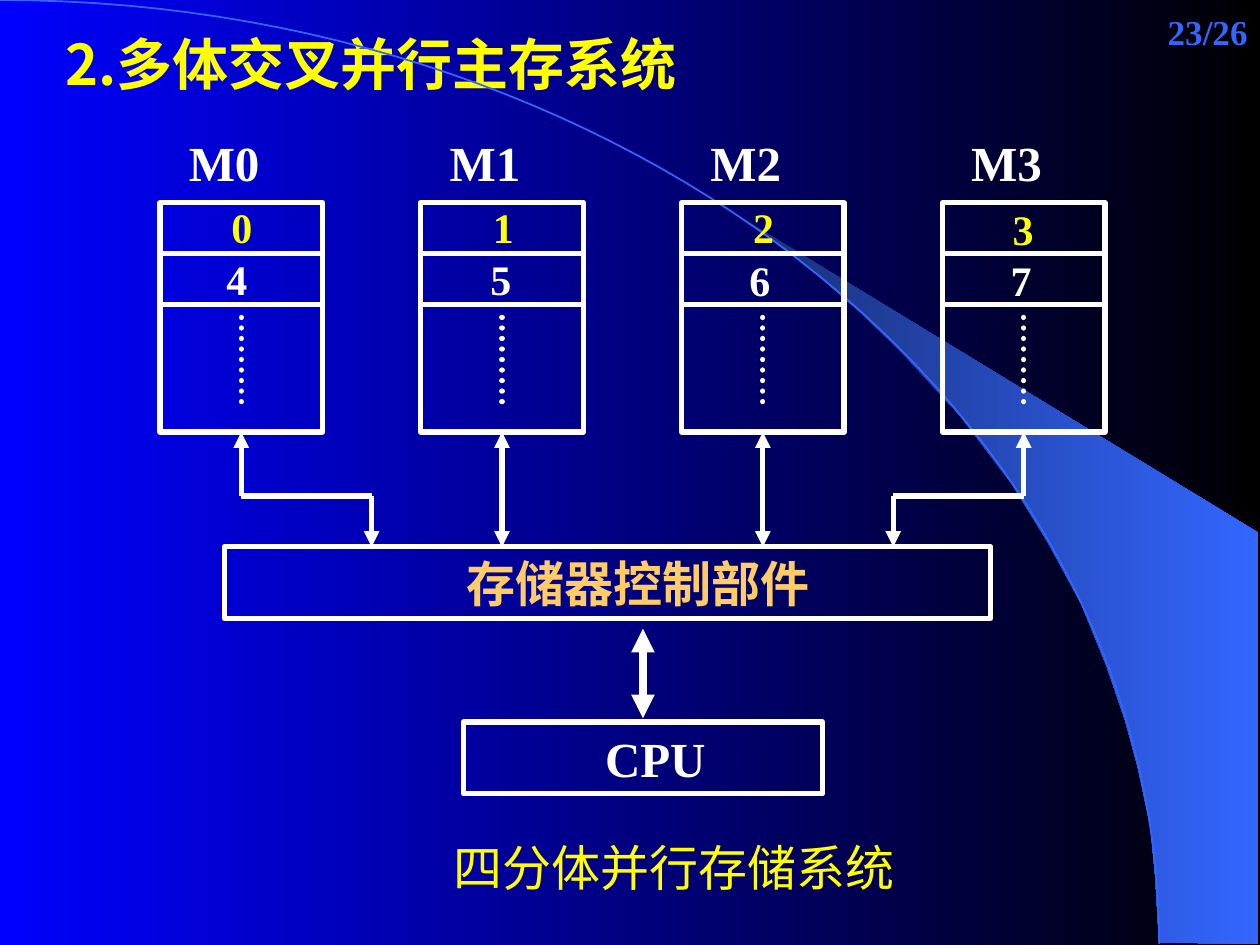
from lxml import etree
from pptx import Presentation
from pptx.dml.color import RGBColor
from pptx.enum.shapes import MSO_CONNECTOR, MSO_SHAPE
from pptx.enum.text import MSO_ANCHOR, MSO_AUTO_SIZE, PP_ALIGN
from pptx.oxml.ns import qn
from pptx.util import Pt

RECT = MSO_SHAPE.RECTANGLE
STRAIGHT = MSO_CONNECTOR.STRAIGHT
TOP, MIDDLE = MSO_ANCHOR.TOP, MSO_ANCHOR.MIDDLE
LEFT, CENTER, RIGHT = PP_ALIGN.LEFT, PP_ALIGN.CENTER, PP_ALIGN.RIGHT
NO_FIT = MSO_AUTO_SIZE.NONE

SERIF, SANS, CJK = "Times New Roman", "Arial", "Noto Sans CJK SC"
COLORS = {
    "blue": "0000FF", "black": "000000", "navy": "182F76", "azure": "3366FF",
    "white": "FFFFFF", "yellow": "FFFF00", "orange": "FFCC66",
}

MODULE_X, MODULE_Y, MODULE_W, MODULE_H = 91.4, 115.9, 92.9, 131
PITCH = 149.04
ROW_LINES = (144.9, 174.2)
BOTTOM, BEND, CONTROL_Y = MODULE_Y + MODULE_H, 283.4, 312.5
CELLS = [
    [(105.1, 111.6, 66.2), (257, 111.6, 61.2), (405.4, 111.6, 61.9), (562.3, 113, 44.6)],
    [(102.2, 141.1, 66.2), (255.6, 141.1, 61.2), (401.8, 141.8, 64.8), (555.1, 141.8, 56.9)],
]
WEDGE = [
    (662.4, 538.6), (719.3, 539.3), (719.3, 304.6), (424.1, 124.6), (449.3, 143.3),
    (470.2, 159.8), (493.2, 180), (515.5, 201.6), (548.6, 237.6), (578.2, 276.5),
    (599, 310.3), (617.8, 344.9), (632.2, 380.2), (643, 411.8), (650.2, 438.5),
    (657.4, 472.3), (660.2, 501.1),
]
ARC = [(0, 0), (365.8, 0), (662.4, 241.2), (662.4, 539.3)]
ARC_STEPS = 60


def rgb(name):
    return RGBColor.from_string(COLORS[name])


def set_gradient(fill, start, end):
    fill.gradient()
    fill.gradient_angle = 0
    for stop, name in zip(fill.gradient_stops, (start, end)):
        stop.color.rgb = rgb(name)


def write(s, text, size=28, color="white", font=SERIF, bold=True, align=LEFT,
          anchor=TOP, wrap=True, indent=0):
    tf = s.text_frame
    tf.auto_size = NO_FIT
    tf.word_wrap = wrap
    tf.vertical_anchor = anchor
    tf.margin_left, tf.margin_right = Pt(7.2 + indent), Pt(7.2)
    tf.margin_top = tf.margin_bottom = Pt(3.6)
    p = tf.paragraphs[0]
    p.alignment = align
    r = p.add_run()
    r.text = text
    r.font.size, r.font.bold, r.font.name = Pt(size), bold, font
    r.font.color.rgb = rgb(color)
    etree.SubElement(r.font._element, qn("a:ea")).set("typeface", CJK)


def add_text(s, box, text, **fmt):
    write(s.shapes.add_textbox(*map(Pt, box)), text, **fmt)


def add_box(s, box):
    sp = s.shapes.add_shape(RECT, *map(Pt, box))
    sp.shadow.inherit = False
    sp.fill.background()
    sp.line.color.rgb = rgb("white")
    sp.line.width = Pt(3)
    return sp


def add_line(s, x1, y1, x2, y2, width=3, head=False, tail=False, dotted=False):
    c = s.shapes.add_connector(STRAIGHT, Pt(x1), Pt(y1), Pt(x2), Pt(y2))
    c.line.color.rgb = rgb("white")
    c.line.width = Pt(width)
    ln = c.line._get_or_add_ln()
    if dotted:
        ln.set("cap", "rnd")
        etree.SubElement(ln, qn("a:prstDash")).set("val", "sysDot")
    for shown, tag in ((head, "a:headEnd"), (tail, "a:tailEnd")):
        if shown:
            etree.SubElement(ln, qn(tag)).set("type", "triangle")
    etree.SubElement(c._element.spPr, qn("a:effectLst"))
    return c


def add_freeform(s, points, close):
    pts = [(Pt(x), Pt(y)) for x, y in points]
    builder = s.shapes.build_freeform(*pts[0])
    builder.add_line_segments(pts[1:], close=close)
    sp = builder.convert_to_shape()
    sp.shadow.inherit = False
    return sp


def bezier(t):
    weights = ((1 - t) ** 3, 3 * t * (1 - t) ** 2, 3 * t * t * (1 - t), t ** 3)
    return tuple(sum(w * pt[axis] for w, pt in zip(weights, ARC)) for axis in (0, 1))


def add_backdrop(s):
    set_gradient(s.background.fill, "blue", "black")
    wedge = add_freeform(s, WEDGE, True)
    set_gradient(wedge.fill, "navy", "azure")
    wedge.line.fill.background()
    arc = add_freeform(s, [bezier(i / ARC_STEPS) for i in range(ARC_STEPS + 1)], False)
    arc.fill.background()
    arc.line.color.rgb = rgb("azure")
    arc.line.width = Pt(1)


def add_module(s, i):
    x = MODULE_X + i * PITCH
    mid = x + MODULE_W / 2
    module = add_box(s, (x, MODULE_Y, MODULE_W, MODULE_H))
    for y in ROW_LINES:
        add_line(s, x, y, x + MODULE_W, y)
    add_line(s, mid, 181.4, mid, 232.6, dotted=True)
    add_text(s, (x + 9.4, 72, 130.3, 41), f"M{i}")
    for row, color in enumerate(("yellow", "white")):
        left, top, width = CELLS[row][i]
        add_text(s, (left, top, width, 36), str(i + 4 * row), size=24,
                 color=color, align=CENTER)
    add_bus(s, module, mid, {0: PITCH / 2, 3: -PITCH / 2}.get(i, 0))


def add_bus(s, module, x, shift):
    if shift:
        c = add_line(s, x, BOTTOM, x, BEND, head=True)
        add_line(s, x, BEND, x + shift, BEND)
        add_line(s, x + shift, BEND, x + shift, CONTROL_Y, tail=True)
    else:
        c = add_line(s, x, BOTTOM, x, CONTROL_Y, head=True, tail=True)
    c.begin_connect(module, 2)


def main():
    prs = Presentation()
    prs.slide_width, prs.slide_height = Pt(720), Pt(540)
    s = prs.slides.add_slide(prs.slide_layouts[5])
    add_backdrop(s)

    title = s.shapes.title
    title.left, title.top, title.width, title.height = map(Pt, (30.2, 12.2, 588.2, 48.2))
    write(title, "2.多体交叉并行主存系统", size=32, color="yellow", font=CJK, anchor=MIDDLE)
    add_text(s, (570.2, 0, 149.8, 36), "23/26", size=20, color="azure",
             align=RIGHT, anchor=MIDDLE)

    for i in range(4):
        add_module(s, i)

    control = add_box(s, (128.2, CONTROL_Y, 437.8, 41))
    write(control, "存储器控制部件", color="orange", align=CENTER, indent=35)
    add_line(s, 367.4, 359.3, 367.4, 410.4, width=4.5, head=True, tail=True)
    cpu = add_box(s, (264.8, 412.6, 205.2, 41))
    write(cpu, "CPU", align=CENTER, indent=14)
    add_text(s, (252.3, 475.2, 265.7, 41), "四分体并行存储系统", color="yellow",
             font=SANS, bold=False, wrap=False)
    prs.save("out.pptx")


if __name__ == "__main__":
    main()
